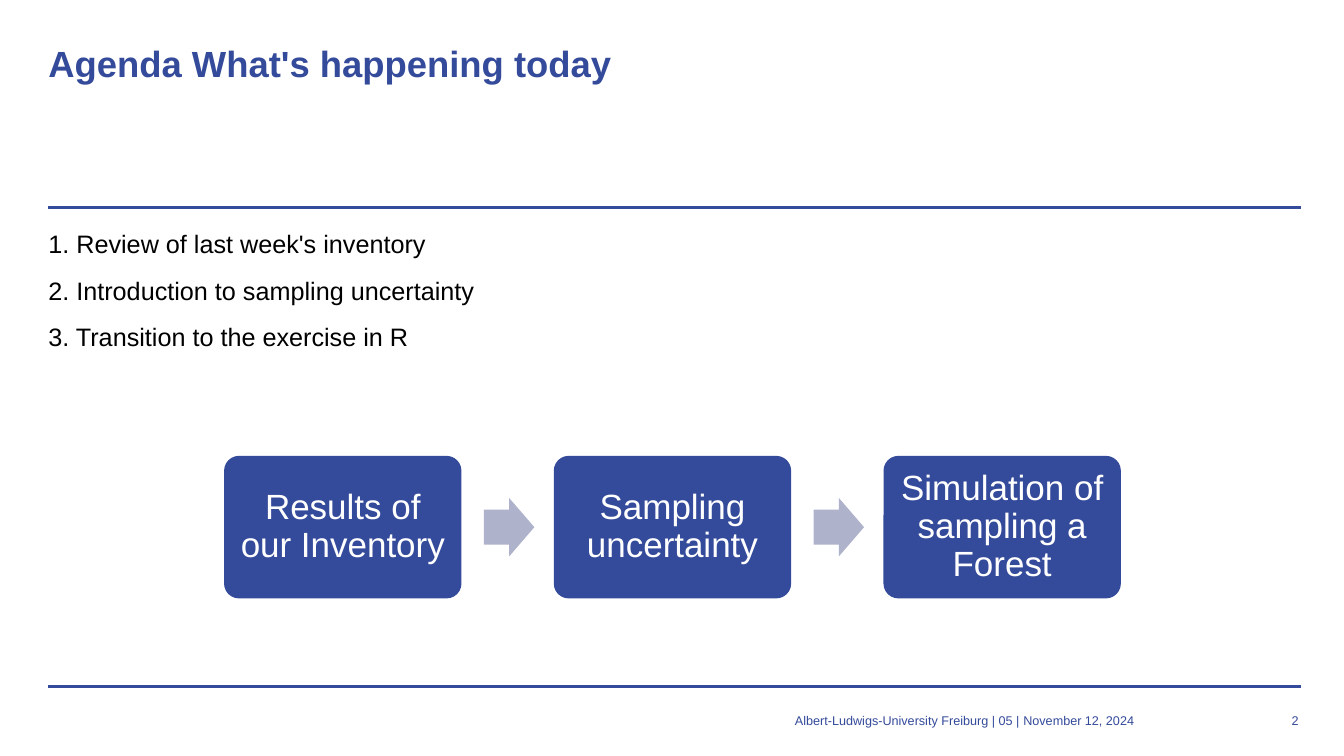
from pptx import Presentation
from pptx.dml.color import RGBColor
from pptx.enum.shapes import MSO_CONNECTOR, MSO_SHAPE
from pptx.enum.text import MSO_ANCHOR, PP_ALIGN
from pptx.oxml.ns import qn
from pptx.util import Pt
from lxml import etree

PX = 9144  # EMU per px, 100 px to the inch
BLUE, PALE, WHITE, BLACK = "344A9A", "AEB2CA", "FFFFFF", "000000"
LEFT, CENTER, RIGHT = PP_ALIGN.LEFT, PP_ALIGN.CENTER, PP_ALIGN.RIGHT
TOP, MIDDLE = MSO_ANCHOR.TOP, MSO_ANCHOR.MIDDLE
ROUND_RECT, ARROW = MSO_SHAPE.ROUNDED_RECTANGLE, MSO_SHAPE.RIGHT_ARROW
STRAIGHT = MSO_CONNECTOR.STRAIGHT


def rgb(color):
    return RGBColor.from_string(color)


def write(sp, lines, size, color, align=LEFT, anchor=TOP, bold=False,
          spacing=None, before=0, insets=(0, 0, 0, 0)):
    tf = sp.text_frame
    tf.word_wrap = True
    tf.vertical_anchor = anchor
    tf.margin_left, tf.margin_top, tf.margin_right, tf.margin_bottom = [
        inset * PX for inset in insets]
    for i, line in enumerate(lines):
        p = tf.paragraphs[0] if i == 0 else tf.add_paragraph()
        p.alignment = align
        p.line_spacing = spacing
        p.space_before = Pt(before if i else 0)
        r = p.add_run()
        r.text = line
        r.font.name = "Arial"
        r.font.size = Pt(size)
        r.font.bold = bold
        r.font.color.rgb = rgb(color)


prs = Presentation()
prs.slide_width, prs.slide_height = 1333 * PX, 750 * PX
s = prs.slides.add_slide(prs.slide_layouts[6])

# Rules above and below the content
for y in (206, 681):
    rule = s.shapes.add_connector(STRAIGHT, 48 * PX, y * PX, 1290 * PX, y * PX)
    rule.line.color.rgb = rgb(BLUE)
    rule.line.width = Pt(2)
    etree.SubElement(rule._element.spPr, qn("a:effectLst"))

# Title
title = s.shapes.add_textbox(48 * PX, 40 * PX, 1240 * PX, 145 * PX)
write(title, ["Agenda What's happening today"], 26, BLUE, bold=True, spacing=Pt(32))

# Agenda
agenda = s.shapes.add_textbox(48 * PX, 206 * PX, 1240 * PX, 472 * PX)
write(agenda, ["1. Review of last week's inventory",
               "2. Introduction to sampling uncertainty",
               "3. Transition to the exercise in R"],
      18, BLACK, spacing=Pt(28), before=5, insets=(0, 12, 0, 0))

# Process steps, with an arrow after each but the last
steps = ["Results of our Inventory", "Sampling uncertainty",
         "Simulation of sampling a Forest"]
for i, step in enumerate(steps):
    x = 223 + 327 * i
    sp = s.shapes.add_shape(ROUND_RECT, x * PX, 453 * PX, 234 * PX, 140 * PX)
    sp.shadow.inherit = False
    sp.adjustments[0] = 0.1
    sp.fill.solid()
    sp.fill.fore_color.rgb = rgb(BLUE)
    sp.line.color.rgb = rgb(BLUE)
    sp.line.width = Pt(1)
    write(sp, [step], 25, WHITE, CENTER, MIDDLE, spacing=0.9, insets=(10, 10, 10, 10))
    if i < len(steps) - 1:
        arrow = s.shapes.add_shape(ARROW, (x + 257) * PX, 494 * PX, 50 * PX, 58 * PX)
        arrow.shadow.inherit = False
        arrow.adjustments[0] = 0.6
        arrow.adjustments[1] = 0.5
        arrow.fill.solid()
        arrow.fill.fore_color.rgb = rgb(PALE)
        arrow.line.fill.background()

# Footer
for x, width, text, align, inset in [
        (326, 685, "Albert-Ludwigs-University Freiburg | 05 |", RIGHT, 0),
        (1011, 157, "November 12, 2024", LEFT, 4),
        (1249, 39, "2", RIGHT, 0)]:
    sp = s.shapes.add_textbox(x * PX, 707 * PX, width * PX, 20 * PX)
    write(sp, [text], 9, BLUE, align, insets=(inset, 0, 0, 0))

prs.save("out.pptx")
